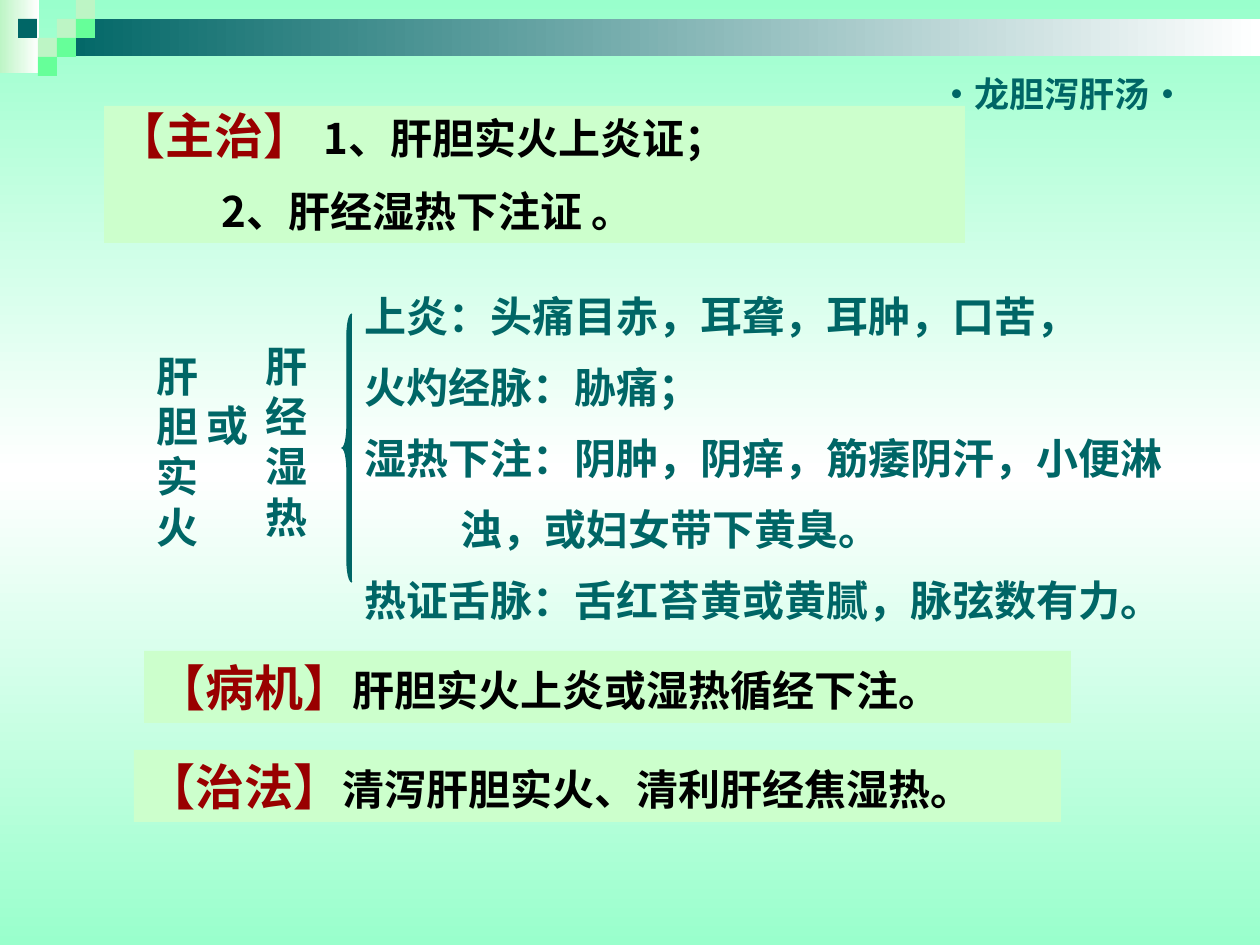
from copy import deepcopy

from pptx import Presentation, util as u
from pptx.dml.color import RGBColor
from pptx.enum import shapes as sh, text as tx
from pptx.oxml.ns import qn

FONT = "Noto Sans CJK SC"
TEAL, RED, BLACK = "006666", "990000", "000000"
MINT, PALE, LIME, WHITE = "99FFCC", "BDF5C5", "66FF99", "FFFFFF"
PANEL = "CCFFCC"
CELL = 19


def px(n):
    return u.Emu(round(n * 914400 / 126))


def rgb(code):
    return RGBColor.from_string(code)


def shade(fill, first, last, angle=0):
    fill.gradient()
    fill.gradient_angle = angle
    for stop, code, pos in zip(fill.gradient_stops, (first, last), (0, 1)):
        stop.color.rgb = rgb(code)
        stop.position = pos


def backdrop(slide):
    fill = slide.background.fill
    shade(fill, MINT, MINT, 270)
    # Add a white stop halfway down
    stops = next(slide._element.iter(qn("a:gsLst")))
    stops.insert(1, deepcopy(stops[0]))
    mid = fill.gradient_stops[1]
    mid.position = 0.5
    mid.color.rgb = rgb(WHITE)


def block(slide, box, color, kind=sh.MSO_SHAPE.RECTANGLE):
    """Plain shape; a pair of colours gives a gradient from left to right."""
    shape = slide.shapes.add_shape(kind, *map(px, box))
    shape.shadow.inherit = False
    shape.line.fill.background()
    if isinstance(color, tuple):
        shade(shape.fill, *color)
    else:
        shape.fill.solid()
        shape.fill.fore_color.rgb = rgb(color)
    return shape


def write(shape, lines, size=24, color=TEAL, gap=0, lead=1.0, indents=None):
    """Fill a shape; a line is a string or a list of (text, size, colour)."""
    frame = shape.text_frame
    frame.word_wrap = True
    frame.auto_size = tx.MSO_AUTO_SIZE.NONE
    frame.vertical_anchor = tx.MSO_ANCHOR.TOP
    for i, line in enumerate(lines):
        para = frame.add_paragraph() if i else frame.paragraphs[0]
        para.alignment = tx.PP_ALIGN.LEFT
        para.line_spacing = lead
        para.space_before = u.Pt(gap if i else 0)
        if indents and i in indents:
            props = para._p.get_or_add_pPr()
            props.set("marL", str(px(indents[i])))
            props.set("indent", "0")
        runs = [(line, size, color)] if isinstance(line, str) else line
        for words, pts, code in runs:
            run = para.add_run()
            run.text = words
            font = run.font
            font.name, font.size, font.bold = FONT, u.Pt(pts), True
            font.color.rgb = rgb(code)
            east = run._r.get_or_add_rPr().makeelement(
                qn("a:ea"), {"typeface": FONT})
            font._element.find(qn("a:latin")).addnext(east)


def label(slide, box, lines, **style):
    write(slide.shapes.add_textbox(*map(px, box)), lines, **style)


def panel(slide, box, head, first, *rest, **style):
    lines = [[(head, 28, RED), (first, 24, BLACK)], *rest]
    write(block(slide, box, PANEL), lines, color=BLACK, **style)


def trim(slide):
    """Gradient bar and checker corner at the top."""
    block(slide, (0, 0, 39, 73), (PALE, WHITE))
    block(slide, (57, 19, 1203, 37), (TEAL, WHITE))
    block(slide, (18, 19, CELL, CELL), TEAL)
    cells = {PALE: [(1, 1), (2, 0), (0, 2)],
             LIME: [(2, 1), (1, 2), (0, 3)]}
    for color, spots in cells.items():
        for col, row in spots:
            block(slide, (38 + CELL * col, CELL * row, CELL, CELL), color)


def main():
    prs = Presentation()
    prs.slide_width, prs.slide_height = px(1260), px(945)
    slide = prs.slides.add_slide(prs.slide_layouts[5])
    backdrop(slide)
    trim(slide)

    # Title at top right, wide enough for one line
    title = slide.shapes.title
    title.left, title.top, title.width, title.height = map(
        px, (927, 66, 315, 55))
    write(title, ["·龙胆泻肝汤·"], size=20)

    # Symptoms
    label(slide, (352, 274, 840, 433), [
        "上炎：头痛目赤，耳聋，耳肿，口苦，",
        "火灼经脉：胁痛；",
        "湿热下注：阴肿，阴痒，筋痿阴汗，小便淋",
        "浊，或妇女带下黄臭。",
        "热证舌脉：舌红苔黄或黄腻，脉弦数有力。",
    ], gap=6, lead=1.2, indents={3: 96})

    # Causes, set upright, and the brace
    for left, top, words in ((144, 344, "肝胆实火"),
                             (253, 334, "肝经湿热"),
                             (194, 393, "或")):
        label(slide, (left, top, 67, 13 + 50 * len(words)), list(words))
    brace = block(slide, (342, 314, 10, 268), TEAL, sh.MSO_SHAPE.LEFT_BRACE)
    brace.adjustments[0] = 2.2
    brace.line.color.rgb = rgb(TEAL)
    brace.line.width = u.Pt(0.75)

    # Indications, mechanism and treatment
    panel(slide, (104, 106, 861, 137), "【主治】 ", "1、肝胆实火上炎证；",
          "2、肝经湿热下注证 。", gap=15, lead=0.9, indents={1: 105})
    panel(slide, (144, 651, 927, 72), "【病机】",
          "肝胆实火上炎或湿热循经下注。")
    panel(slide, (134, 750, 927, 72), "【治法】",
          "清泻肝胆实火、清利肝经焦湿热。")

    prs.save("out.pptx")


if __name__ == "__main__":
    main()
